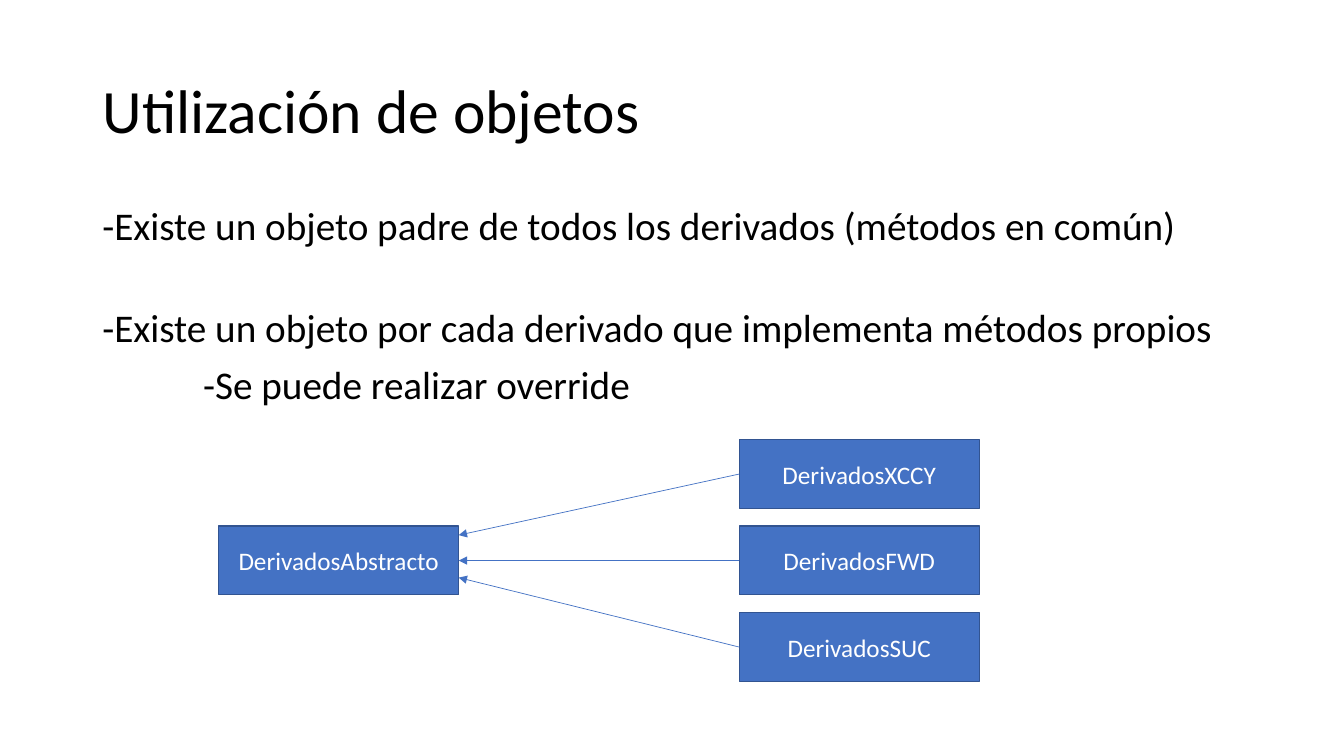
from typing import NamedTuple

from lxml import etree
from pptx import Presentation
from pptx import util as u
from pptx.dml import color
from pptx.enum import shapes, text
from pptx.oxml import ns


class Line(NamedTuple):
    words: str
    gap: float = 0
    inset: float = 0


class Child(NamedTuple):
    name: str
    shift: float


WIDE, HIGH, STEP = 6.05, 1.73, 2.18
BASE_X, KID_X, MID_Y = 5.51, 18.63, 13.26
BLUE, EDGE, BLACK, WHITE = "4472C4", "325491", "000000", "FFFFFF"

LINES = [
    Line("-Existe un objeto padre de todos los derivados (métodos en común)"),
    Line("-Existe un objeto por cada derivado que implementa métodos propios", 43),
    Line("-Se puede realizar override", 10, 2.54),
]
KIDS = [
    Child("DerivadosXCCY", -0.64),
    Child("DerivadosFWD", 0),
    Child("DerivadosSUC", 0.43),
]


def paint(part, tone: str) -> None:
    if hasattr(part, "solid"):
        part.solid()
        part = part.fore_color
    part.rgb = color.RGBColor.from_string(tone)


def apply(item, form: dict) -> None:
    for key, value in form.items():
        setattr(item, key, value)


def write(para, words: str, size: float, tone: str, form: dict) -> None:
    run = para.add_run()
    run.text = words
    apply(run.font, {"name": "Calibri", "size": u.Pt(size)})
    paint(run.font.color, tone)
    apply(para, form)


def place(item, left: float, top: float, wide: float, high: float) -> None:
    apply(item, {"left": u.Cm(left), "top": u.Cm(top),
                 "width": u.Cm(wide), "height": u.Cm(high)})


def draw_box(slide, name: str, left: float, top: float) -> None:
    box = slide.shapes.add_shape(
        shapes.MSO_SHAPE.RECTANGLE, u.Cm(left), u.Cm(top), u.Cm(WIDE), u.Cm(HIGH))
    box.shadow.inherit = False
    paint(box.fill, BLUE)
    paint(box.line.fill, EDGE)
    box.line.width = u.Pt(1)
    frame = box.text_frame
    apply(frame, {"word_wrap": True, "vertical_anchor": text.MSO_ANCHOR.MIDDLE})
    write(frame.paragraphs[0], name, 18, WHITE, {"alignment": text.PP_ALIGN.CENTER})


def draw_arrow(slide, start: float, end: float) -> None:
    arrow = slide.shapes.add_connector(
        shapes.MSO_CONNECTOR.STRAIGHT,
        u.Cm(KID_X), u.Cm(start), u.Cm(BASE_X + WIDE), u.Cm(end))
    paint(arrow.line.fill, BLUE)
    arrow.line.width = u.Pt(0.5)
    tip = etree.SubElement(arrow.line._get_or_add_ln(), ns.qn("a:tailEnd"))
    tip.set("type", "triangle")
    etree.SubElement(arrow._element.spPr, ns.qn("a:effectLst"))


def draw_text(slide) -> None:
    title = slide.shapes.title
    place(title, 2.33, 1.02, 29.21, 3.68)
    apply(title.text_frame, {
        "word_wrap": True, "auto_size": text.MSO_AUTO_SIZE.NONE,
        "vertical_anchor": text.MSO_ANCHOR.MIDDLE})
    write(title.text_frame.paragraphs[0], "Utilización de objetos", 44, BLACK,
          {"alignment": text.PP_ALIGN.LEFT, "line_spacing": 0.9})

    body = slide.shapes.add_textbox(u.Cm(2.33), u.Cm(5.08), u.Cm(29.21), u.Cm(12.09))
    frame = body.text_frame
    frame.word_wrap = True
    for rank, line in enumerate(LINES):
        para = frame.add_paragraph() if rank else frame.paragraphs[0]
        write(para, line.words, 28, BLACK,
              {"line_spacing": 0.9, "space_before": u.Pt(line.gap)})
        para._p.get_or_add_pPr().set("marL", str(u.Cm(line.inset)))


def main() -> None:
    deck = Presentation()
    apply(deck, {"slide_width": u.Cm(33.87), "slide_height": u.Cm(19.05)})
    slide = deck.slides.add_slide(deck.slide_layouts.get_by_name("Title Only"))
    draw_text(slide)
    draw_box(slide, "DerivadosAbstracto", BASE_X, MID_Y)
    center = MID_Y + HIGH / 2
    for rank, kid in enumerate(KIDS):
        drop = (rank - 1) * STEP
        draw_box(slide, kid.name, KID_X, MID_Y + drop)
        draw_arrow(slide, center + drop, center + kid.shift)
    deck.save("out.pptx")


main()
